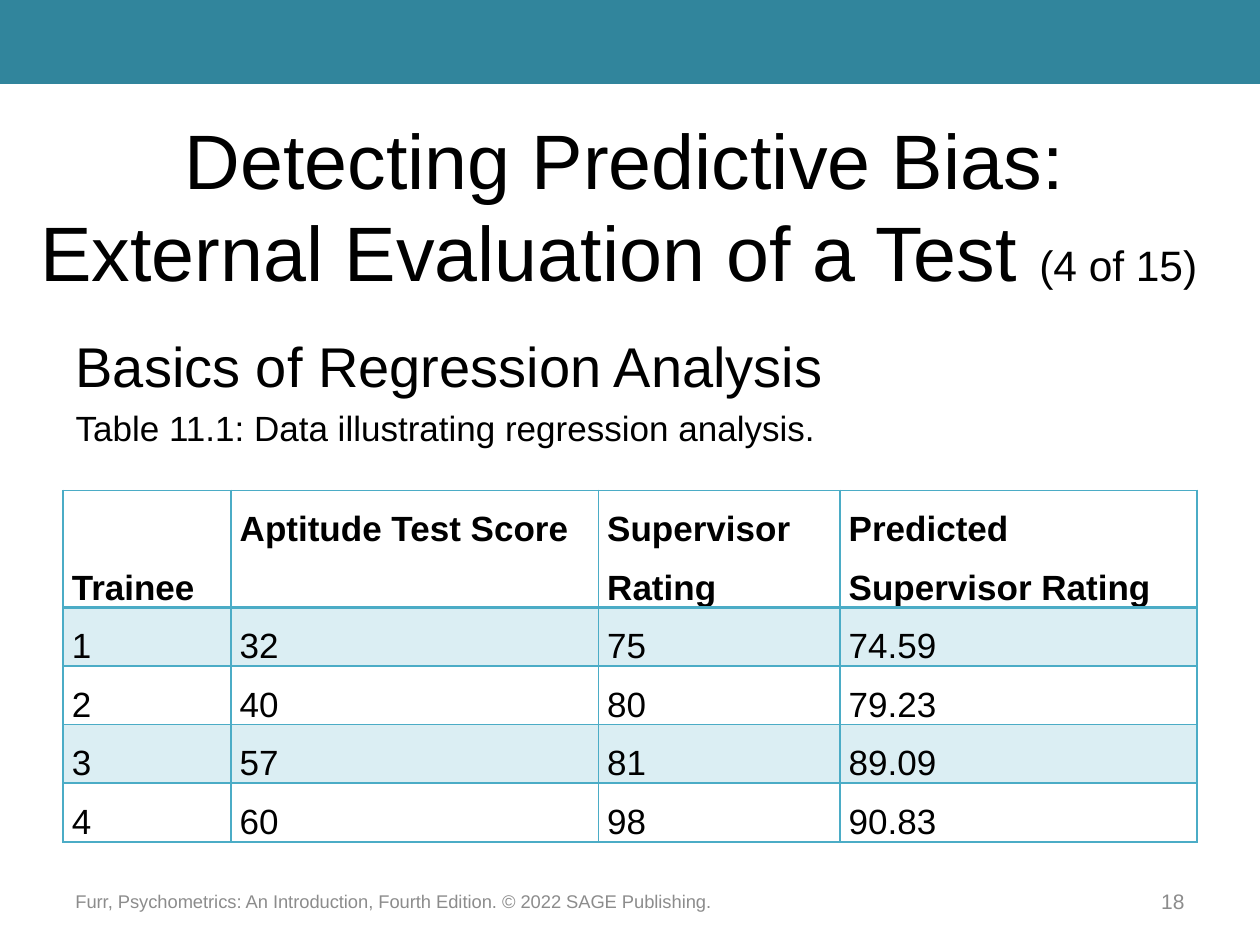
from dataclasses import dataclass

import pptx
import pptx.dml.color
import pptx.enum.shapes
import pptx.enum.text
import pptx.oxml
import pptx.oxml.ns
import pptx.util
from lxml import etree

RGBColor = pptx.dml.color.RGBColor
ALIGN = pptx.enum.text.PP_ALIGN
ANCHOR = pptx.enum.text.MSO_ANCHOR

TEAL = RGBColor(0x31, 0x85, 0x9C)
AQUA = RGBColor(0x4B, 0xAC, 0xC6)
BLACK = RGBColor(0x00, 0x00, 0x00)
GRAY = RGBColor(0x8C, 0x8C, 0x8C)

FONT = "Arial"
UNIT = pptx.util.Inches(10) // 120  # the slide is a grid of 120 columns and 90 rows


@dataclass(frozen=True)
class Area:
    """A rectangle in grid columns and rows."""
    column: float
    row: float
    columns: float
    rows: float

    def lengths(self) -> tuple:
        return tuple(round(value * UNIT) for value in
                     (self.column, self.row, self.columns, self.rows))


@dataclass(frozen=True)
class Footer:
    text: str
    area: Area
    size: float
    align: ALIGN


BAND = Area(0, 0, 120, 8)
TITLE = Area(2, 12, 115, 15)
BODY = Area(6, 31, 108, 12)
TABLE = Area(6, 46.7, 108, 33.3)
COLUMN_WIDTHS = (16, 35, 23, 34)
HEADER_HEIGHT, ROW_HEIGHT = 11.1, 5.5

DATA = (
    ("Trainee", "Aptitude Test Score", "Supervisor Rating", "Predicted Supervisor Rating"),
    ("1", "32", "75", "74.59"),
    ("2", "40", "80", "79.23"),
    ("3", "57", "81", "89.09"),
    ("4", "60", "98", "90.83"),
)
FOOTERS = (
    Footer("Furr, Psychometrics: An Introduction, Fourth Edition. © 2022 SAGE Publishing.",
           Area(6, 83.4, 99, 4.8), 10.5, ALIGN.LEFT),
    Footer("18", Area(108, 83.4, 6, 4.8), 12, ALIGN.RIGHT),
)


def write(para, text: str, *, size: float, color: RGBColor = BLACK, bold: bool = False) -> None:
    span = para.add_run()
    span.text = text
    span.font.name = FONT
    span.font.size = pptx.util.Pt(size)
    span.font.color.rgb = color
    span.font.bold = bold


def place(box, area: Area) -> None:
    box.left, box.top, box.width, box.height = area.lengths()


def add_band(page) -> None:
    band = page.shapes.add_shape(pptx.enum.shapes.MSO_SHAPE.RECTANGLE, *BAND.lengths())
    band.shadow.inherit = False
    band.fill.solid()
    band.fill.fore_color.rgb = TEAL
    band.line.fill.background()


def fill_title(box) -> None:
    place(box, TITLE)
    box.text_frame.auto_size = pptx.enum.text.MSO_AUTO_SIZE.NONE
    box.text_frame.vertical_anchor = ANCHOR.MIDDLE
    para = box.text_frame.paragraphs[0]
    para.alignment = ALIGN.CENTER
    write(para, "Detecting Predictive Bias:", size=44.1)
    para.add_line_break()
    write(para, "External Evaluation of a Test", size=44.1)
    write(para, " ", size=43.2)
    write(para, "(4 of 15) ", size=24.3)


def fill_body(box) -> None:
    place(box, BODY)
    frame = box.text_frame
    frame.auto_size = pptx.enum.text.MSO_AUTO_SIZE.NONE
    lines = (("Basics of Regression Analysis", 32, 0),
             ("Table 11.1: Data illustrating regression analysis.", 20, 4))
    for index, (text, size, before) in enumerate(lines):
        para = frame.add_paragraph() if index else frame.paragraphs[0]
        properties = para._p.get_or_add_pPr()
        properties.set("marL", "0")
        properties.set("indent", "0")
        etree.SubElement(properties, pptx.oxml.ns.qn("a:buNone"))
        para.space_before = pptx.util.Pt(before)
        write(para, text, size=size)


def draw_borders(cell, *, top: float, bottom: float) -> None:
    properties = cell._tc.get_or_add_tcPr()
    for side, width in (("L", 1), ("R", 1), ("T", top), ("B", bottom)):
        properties.append(pptx.oxml.parse_xml(
            f'<a:ln{side} {pptx.oxml.ns.nsdecls("a")} w="{pptx.util.Pt(width)}">'
            f'<a:solidFill><a:srgbClr val="{AQUA}"/></a:solidFill></a:ln{side}>'))


def shade(cell, opacity: int) -> None:
    cell.fill.solid()
    cell.fill.fore_color.rgb = AQUA
    color = cell._tc.tcPr.find(".//" + pptx.oxml.ns.qn("a:solidFill") + "[last()]/..")
    fill = cell._tc.tcPr.findall(pptx.oxml.ns.qn("a:solidFill"))[0]
    etree.SubElement(fill[0], pptx.oxml.ns.qn("a:alpha"), val=str(opacity * 1000))


def fill_cell(cell, text: str, row: int) -> None:
    header = row == 0
    cell.margin_left = cell.margin_right = pptx.util.Inches(0.07)
    cell.margin_top = cell.margin_bottom = 0
    para = cell.text_frame.paragraphs[0]
    para.line_spacing = 1.5
    if not header:
        para.space_after = pptx.util.Pt(12)
    write(para, text, size=20, bold=header)
    draw_borders(cell, top=2 if row == 1 else 1, bottom=2 if header else 1)
    if row % 2:
        shade(cell, 20)
    else:
        cell.fill.background()


def add_data_table(page) -> None:
    table = page.shapes.add_table(len(DATA), len(COLUMN_WIDTHS), *TABLE.lengths()).table
    table.horz_banding = False
    for column, width in zip(table.columns, COLUMN_WIDTHS):
        column.width = width * UNIT
    for index, values in enumerate(DATA):
        table.rows[index].height = round((ROW_HEIGHT if index else HEADER_HEIGHT) * UNIT)
        for column, text in enumerate(values):
            fill_cell(table.cell(index, column), text, index)
    table.cell(0, 0).vertical_anchor = ANCHOR.BOTTOM


def add_footer(page, footer: Footer) -> None:
    box = page.shapes.add_textbox(*footer.area.lengths())
    box.text_frame.word_wrap = True
    box.text_frame.vertical_anchor = ANCHOR.MIDDLE
    para = box.text_frame.paragraphs[0]
    para.alignment = footer.align
    write(para, footer.text, size=footer.size, color=GRAY)


def main() -> None:
    deck = pptx.Presentation()
    deck.slide_width, deck.slide_height = 120 * UNIT, 90 * UNIT
    page = deck.slides.add_slide(deck.slide_layouts[1])

    # Band, title and introduction
    add_band(page)
    fill_title(page.shapes.title)
    fill_body(page.placeholders[1])

    # Regression data
    add_data_table(page)

    # Source line and page number
    for footer in FOOTERS:
        add_footer(page, footer)

    deck.save("out.pptx")


if __name__ == "__main__":
    main()
